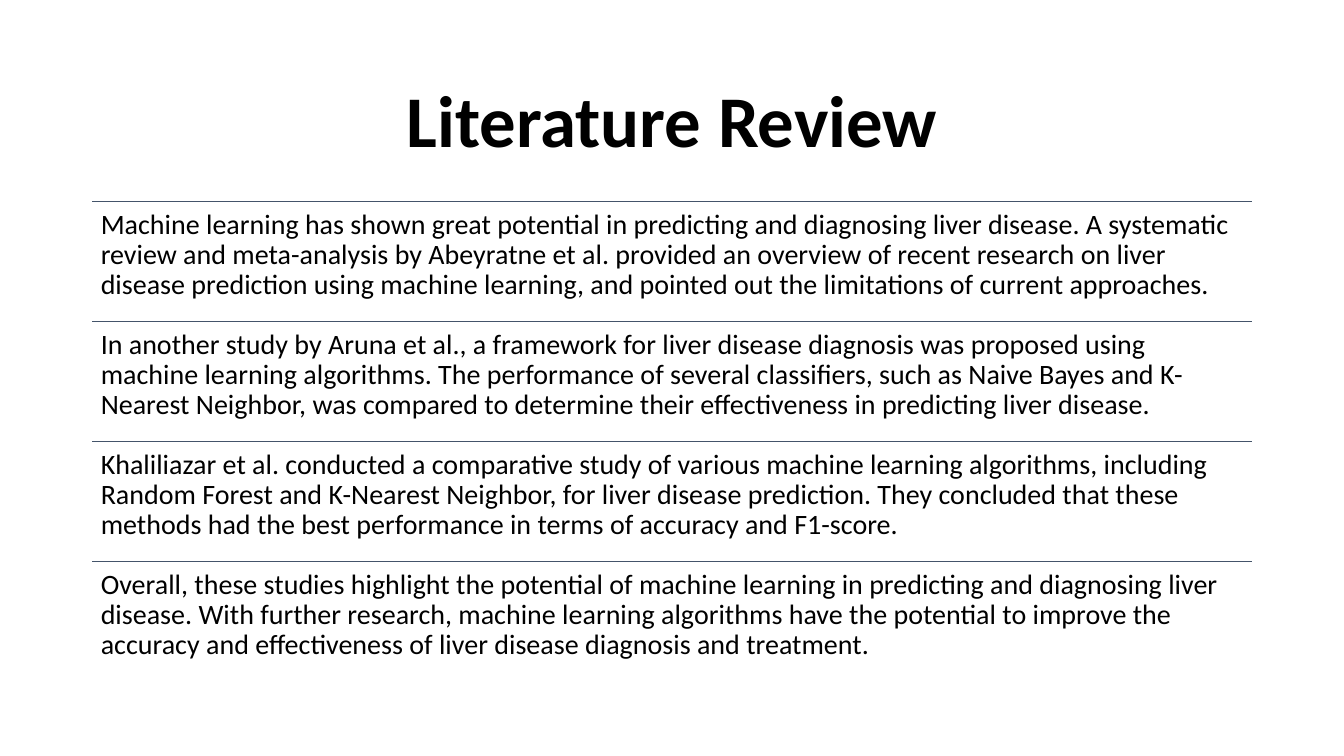
import pptx
import pptx.dml.color
import pptx.enum.shapes
import pptx.enum.text
import pptx.oxml
import pptx.util

Pt = pptx.util.Pt
BLACK = pptx.dml.color.RGBColor(0x00, 0x00, 0x00)
SLATE = pptx.dml.color.RGBColor(0x44, 0x54, 0x6A)
FONT = "Calibri"

HEADING = "Literature Review"
FINDINGS = [
    "Machine learning has shown great potential in predicting and diagnosing liver disease. "
    "A systematic review and meta-analysis by Abeyratne et al. provided an overview of recent "
    "research on liver disease prediction using machine learning, and pointed out the "
    "limitations of current approaches.",
    "In another study by Aruna et al., a framework for liver disease diagnosis was proposed "
    "using machine learning algorithms. The performance of several classifiers, such as Naive "
    "Bayes and K-Nearest Neighbor, was compared to determine their effectiveness in predicting "
    "liver disease.",
    "Khaliliazar et al. conducted a comparative study of various machine learning algorithms, "
    "including Random Forest and K-Nearest Neighbor, for liver disease prediction. They "
    "concluded that these methods had the best performance in terms of accuracy and F1-score.",
    "Overall, these studies highlight the potential of machine learning in predicting and "
    "diagnosing liver disease. With further research, machine learning algorithms have the "
    "potential to improve the accuracy and effectiveness of liver disease diagnosis and treatment.",
]

LEFT, WIDTH = 66, 828
HEADING_TOP, HEADING_HEIGHT = 44, 89
FINDINGS_TOP, FINDING_HEIGHT = 144, 85.7
INSET = 6


def format_text(frame, size, align, bold=False):
    frame.word_wrap = True
    frame.auto_size = pptx.enum.text.MSO_AUTO_SIZE.NONE
    paragraph = frame.paragraphs[0]
    paragraph.alignment = align
    paragraph.line_spacing = 0.9
    font = paragraph.runs[0].font
    font.name, font.size, font.bold = FONT, Pt(size), bold
    font.color.rgb = BLACK


def add_rule(slide, top):
    rule = slide.shapes.add_connector(
        pptx.enum.shapes.MSO_CONNECTOR.STRAIGHT,
        Pt(LEFT), Pt(top), Pt(LEFT + WIDTH), Pt(top))
    rule.line.color.rgb = SLATE
    rule.line.width = Pt(1)
    rule._element.spPr.append(pptx.oxml.parse_xml(
        '<a:effectLst xmlns:a="http://schemas.openxmlformats.org/drawingml/2006/main"/>'))


def add_finding(slide, top, wording):
    finding = slide.shapes.add_textbox(Pt(LEFT), Pt(top), Pt(WIDTH), Pt(FINDING_HEIGHT))
    frame = finding.text_frame
    frame.text = wording
    frame.margin_left = frame.margin_right = Pt(INSET)
    frame.margin_top = frame.margin_bottom = Pt(INSET)
    frame.vertical_anchor = pptx.enum.text.MSO_ANCHOR.TOP
    format_text(frame, 20, pptx.enum.text.PP_ALIGN.LEFT)


def main():
    deck = pptx.Presentation()
    deck.slide_width, deck.slide_height = Pt(960), Pt(540)
    slide = deck.slides.add_slide(deck.slide_layouts[5])

    heading = slide.shapes.title
    heading.left, heading.top = Pt(LEFT), Pt(HEADING_TOP)
    heading.width, heading.height = Pt(WIDTH), Pt(HEADING_HEIGHT)
    heading.text_frame.text = HEADING
    heading.text_frame.vertical_anchor = pptx.enum.text.MSO_ANCHOR.MIDDLE
    format_text(heading.text_frame, 52, pptx.enum.text.PP_ALIGN.CENTER, bold=True)

    for row, wording in enumerate(FINDINGS):
        top = FINDINGS_TOP + row * FINDING_HEIGHT
        add_rule(slide, top)
        add_finding(slide, top, wording)

    deck.save("out.pptx")


if __name__ == "__main__":
    main()
